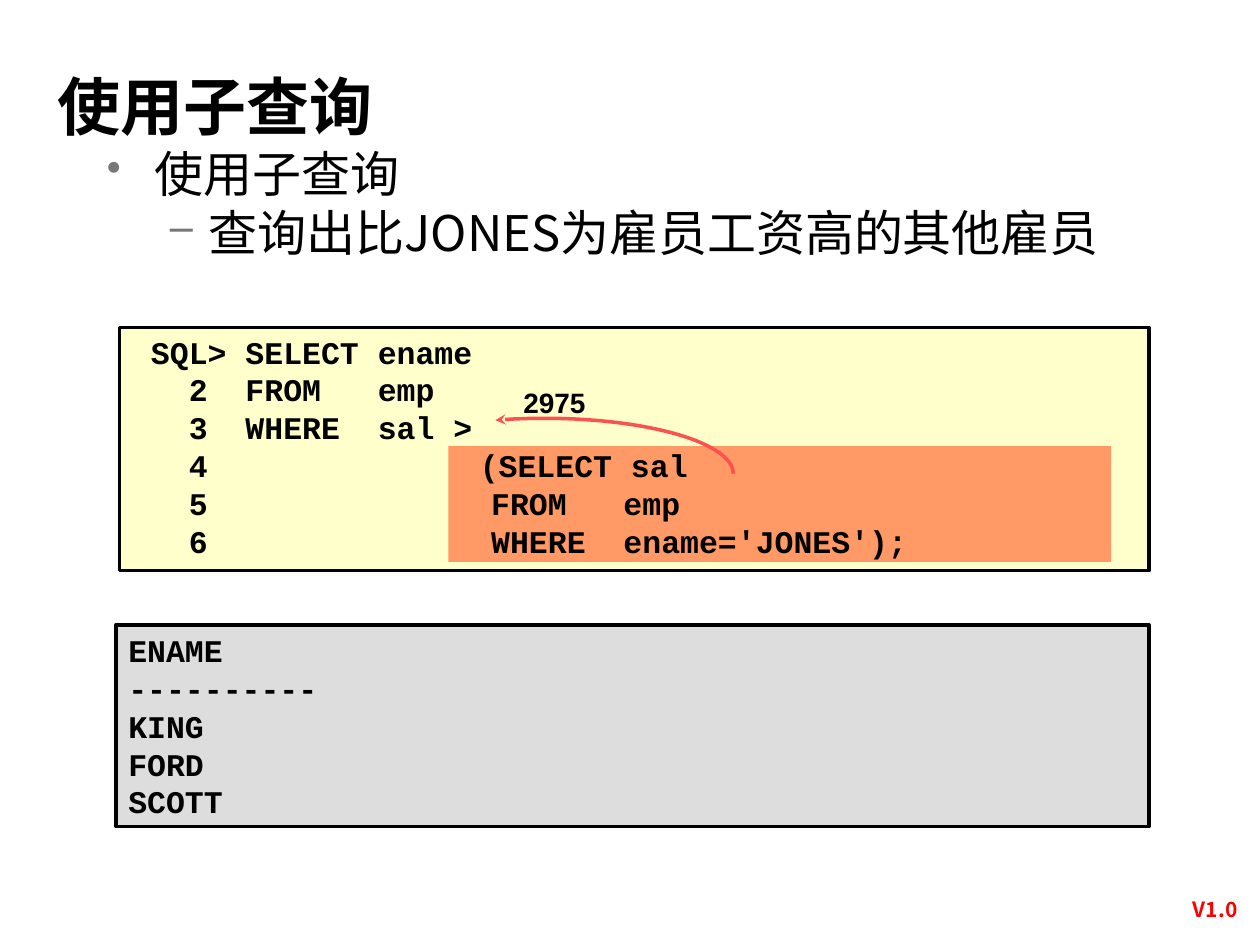
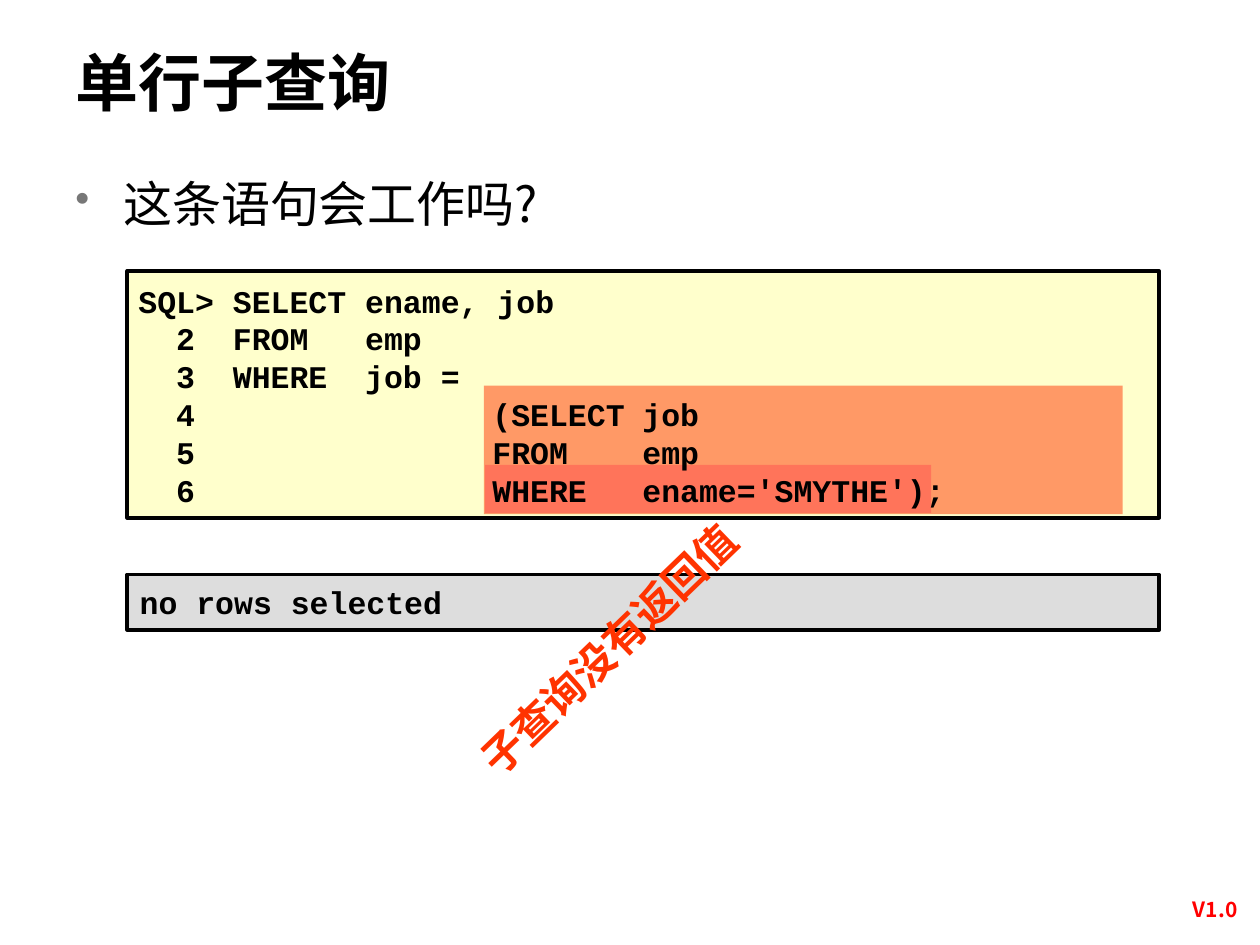
from math import cos, radians, sin

from lxml.etree import SubElement
from pptx import Presentation
from pptx.dml.color import RGBColor
from pptx.enum.shapes import MSO_SHAPE as Shape
from pptx.enum.text import MSO_ANCHOR as Anchor, PP_ALIGN as Align
from pptx.oxml.ns import qn
from pptx.util import Inches, Pt

rgb = RGBColor.from_string
BLACK, RED, ARROW_RED, WARNING_RED = "000000", "FF0000", "FF5050", "FF3300"
CODE_FILL, SUBQUERY_FILL, RESULT_FILL, BULLET_GREY = "FFFFCC", "FF9966", "DDDDDD", "777777"
CJK, SANS, MONO = "Noto Sans CJK SC", "Arial", "Courier New"

# The slide is a grid of 10 columns and 7.5 rows, one inch each.
COLUMNS, ROWS = 10, 7.5
CELL = Inches(1)

TITLE = dict(size=36, font=CJK, bold=True)
CODE = dict(size=18, font=MONO, bold=True)
BODY = dict(size=28, font=CJK)
QUERY_TABS = [0.3, 0.75, 1.8]


def box(slide, area, fill=None, outlined=False):
    """Add a filled rectangle, or a text box when there is no fill."""
    left, top, width, height = [int(n * CELL) for n in area]
    if not fill:
        return slide.shapes.add_textbox(left, top, width, height)
    panel = slide.shapes.add_shape(Shape.RECTANGLE, left, top, width, height)
    panel.shadow.inherit = False
    panel.fill.solid()
    panel.fill.fore_color.rgb = rgb(fill)
    if outlined:
        panel.line.color.rgb = rgb(BLACK)
        panel.line.width = Pt(2)
    else:
        panel.line.fill.background()
    return panel


def write(holder, lines, size, font, bold=False, color=BLACK, align=Align.LEFT,
          anchor=Anchor.TOP, wrap=True):
    """Fill a shape with (text, tab stops, bullet) lines; a bullet is (sign, margin, hang)."""
    frame = holder.text_frame
    frame.word_wrap, frame.vertical_anchor = wrap, anchor
    for number, (text, tabs, bullet) in enumerate(lines):
        paragraph = frame.add_paragraph() if number else frame.paragraphs[0]
        paragraph.text, paragraph.alignment = text, align
        props = paragraph._p.get_or_add_pPr()
        if bullet:
            sign, margin, hang = bullet
            props.set("marL", str(int(margin * CELL)))
            props.set("indent", str(int(-hang * CELL)))
            SubElement(SubElement(props, qn("a:buClr")), qn("a:srgbClr"), val=BULLET_GREY)
            SubElement(props, qn("a:buSzPct"), val="85000")
            SubElement(props, qn("a:buChar"), char=sign)
        if tabs:
            stops = SubElement(props, qn("a:tabLst"))
            for stop in tabs:
                SubElement(stops, qn("a:tab"), pos=str(int(stop * CELL)), algn="l")
        style = paragraph.font
        style.size, style.name, style.bold = Pt(size), font, bold
        style.color.rgb = rgb(color)
        SubElement(props.find(qn("a:defRPr")), qn("a:ea"), typeface=CJK)


deck = Presentation()
deck.slide_width, deck.slide_height = int(COLUMNS * CELL), int(ROWS * CELL)
using, single_row = [deck.slides.add_slide(deck.slide_layouts[6]) for _ in range(2)]

for slide, heading, area in [
    (using, "使用子查询", (0.36, 0.49, 8.5, 0.83)),
    (single_row, "单行子查询", (0.5, 0.3, 7.97, 0.77)),
]:
    write(box(slide, area), [(heading, None, None)], **TITLE)
    write(box(slide, (9.25, 7.07, 0.79, 0.3)), [("V1.0", None, None)],
          size=12, font=CJK, bold=True, color=RED, align=Align.CENTER)

# Slide 1: the subquery hands its value to the outer query
write(box(using, (0.75, 1.09, 8.08, 1.33)), [
    ("使用子查询", None, ("•", 0.38, 0.38)),
    ("查询出比JONES为雇员工资高的其他雇员", None, ("–", 0.81, 0.31)),
], **BODY)
box(using, (0.95, 2.6, 8.17, 1.93), CODE_FILL, outlined=True)
box(using, (3.56, 3.54, 5.26, 0.92), SUBQUERY_FILL)
write(box(using, (1.1, 2.59, 6.2, 1.9)), [
    ("SQL>\tSELECT\tename", QUERY_TABS[1:], None),
    ("\t2\tFROM\temp", QUERY_TABS, None),
    ("\t3\tWHERE\tsal >", QUERY_TABS, None),
    ("\t4\t(SELECT sal", [0.3, 2.61], None),
    ("\t5\tFROM\temp", [0.3, 2.7, 3.75], None),
    ("\t6\tWHERE\tename='JONES');", [0.3, 2.7, 3.75], None),
], **CODE)

# The arrow follows an ellipse from just past its top round to its right end.
center_x, center_y, radius_x, radius_y = 4.32, 3.76, 1.5, 0.44
curve = [(int((center_x + radius_x * cos(radians(angle))) * CELL),
          int((center_y - radius_y * sin(radians(angle))) * CELL))
         for angle in range(105, -1, -3)]
outline = using.shapes.build_freeform(*curve[0])
outline.add_line_segments(curve[1:], close=False)
arrow = outline.convert_to_shape()
arrow.shadow.inherit = False
arrow.fill.background()
arrow.line.color.rgb = rgb(ARROW_RED)
arrow.line.width = Pt(2)
SubElement(arrow.line._get_or_add_ln(), qn("a:headEnd"), type="stealth")
write(box(using, (4.05, 2.98, 0.7, 0.42)), [("2975", None, None)], size=16, font=SANS,
      bold=True, align=Align.CENTER, anchor=Anchor.MIDDLE, wrap=False)

names = ["ENAME", "----------", "KING", "FORD", "SCOTT"]
write(box(using, (0.92, 4.96, 8.2, 1.6), RESULT_FILL, outlined=True),
      [(name, None, None) for name in names], anchor=Anchor.MIDDLE, **CODE)

# Slide 2: the subquery returns nothing
write(box(single_row, (0.5, 1.33, 9.07, 0.62)),
      [("这条语句会工作吗?", None, ("•", 0.38, 0.38))], **BODY)
box(single_row, (1.01, 2.15, 8.19, 1.96), CODE_FILL, outlined=True)
box(single_row, (3.84, 3.06, 5.07, 1.02), SUBQUERY_FILL)
condition = box(single_row, (3.85, 3.69, 3.54, 0.38), ARROW_RED)
tint = condition._element.spPr.find(qn("a:solidFill")).find(qn("a:srgbClr"))
SubElement(tint, qn("a:alpha"), val="50000")
write(box(single_row, (1.01, 4.56, 8.19, 0.44), RESULT_FILL, outlined=True),
      [("no rows selected", None, None)], anchor=Anchor.MIDDLE, **CODE)
warning = box(single_row, (3.39, 4.9, 2.88, 0.5))
warning.rotation = 316
write(warning, [("子查询没有返回值", None, None)], size=24, font=SANS, bold=True,
      color=WARNING_RED, align=Align.CENTER, wrap=False)
subquery_tabs = [0.3, 2.81, 4]
write(box(single_row, (1, 2.14, 8, 1.99)), [
    ("SQL>\tSELECT\tename, job", QUERY_TABS[1:], None),
    ("\t2\tFROM\temp", QUERY_TABS, None),
    ("\t3\tWHERE\tjob =", QUERY_TABS, None),
    ("\t4\t(SELECT\tjob", subquery_tabs, None),
    ("\t5\tFROM\temp", subquery_tabs, None),
    ("\t6\tWHERE\tename='SMYTHE');", subquery_tabs, None),
], anchor=Anchor.MIDDLE, **CODE)

deck.save("out.pptx")
